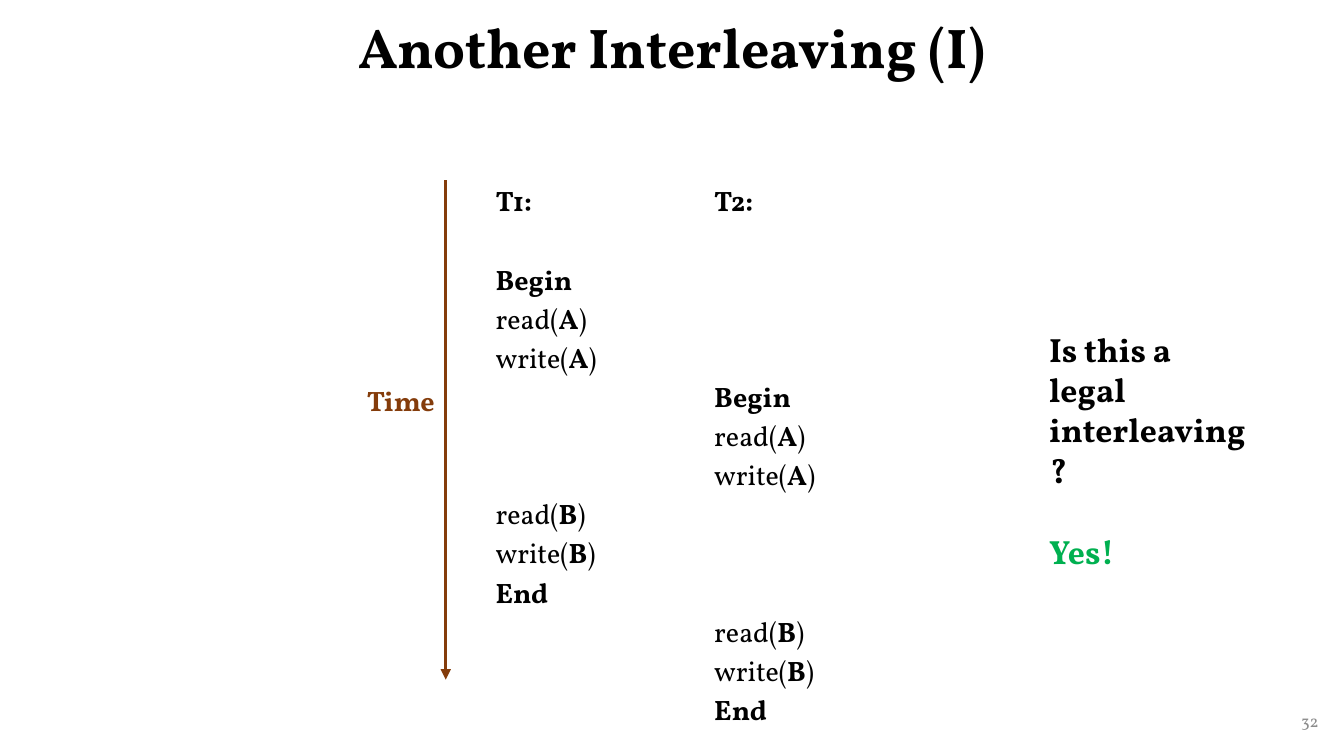
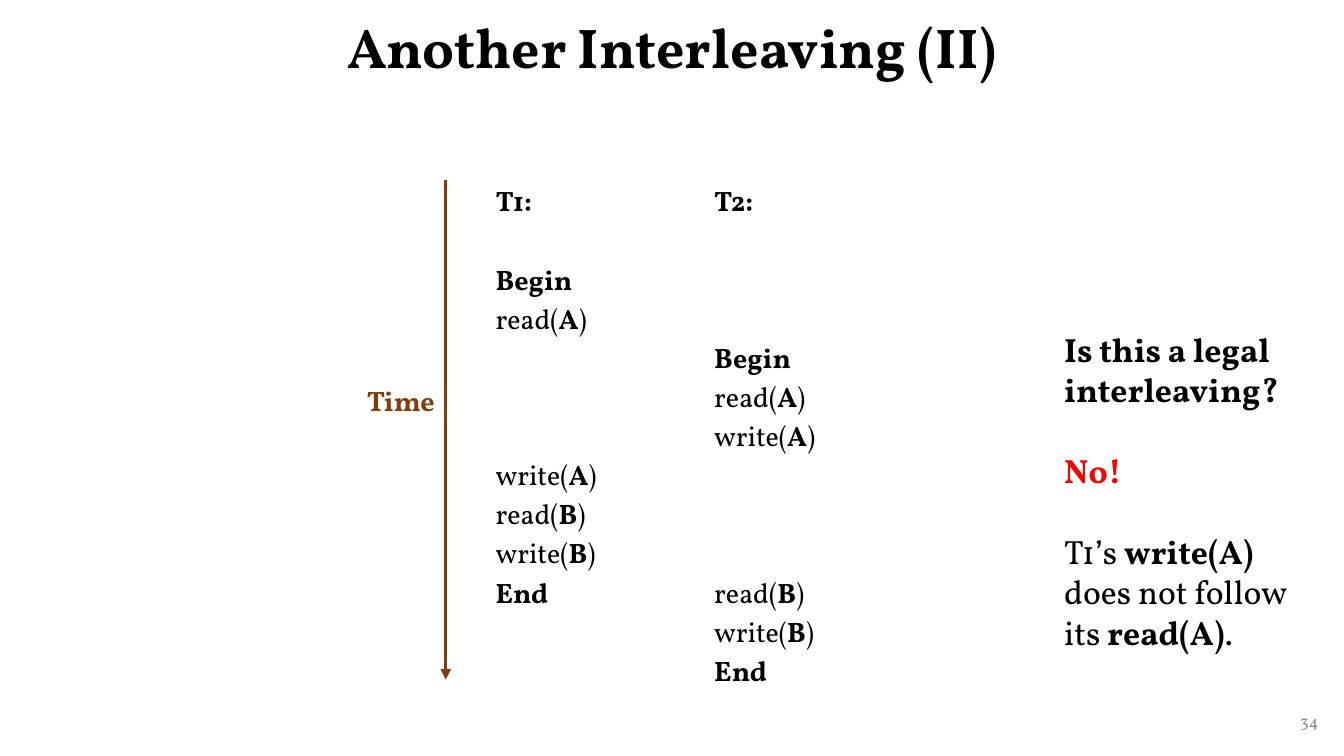
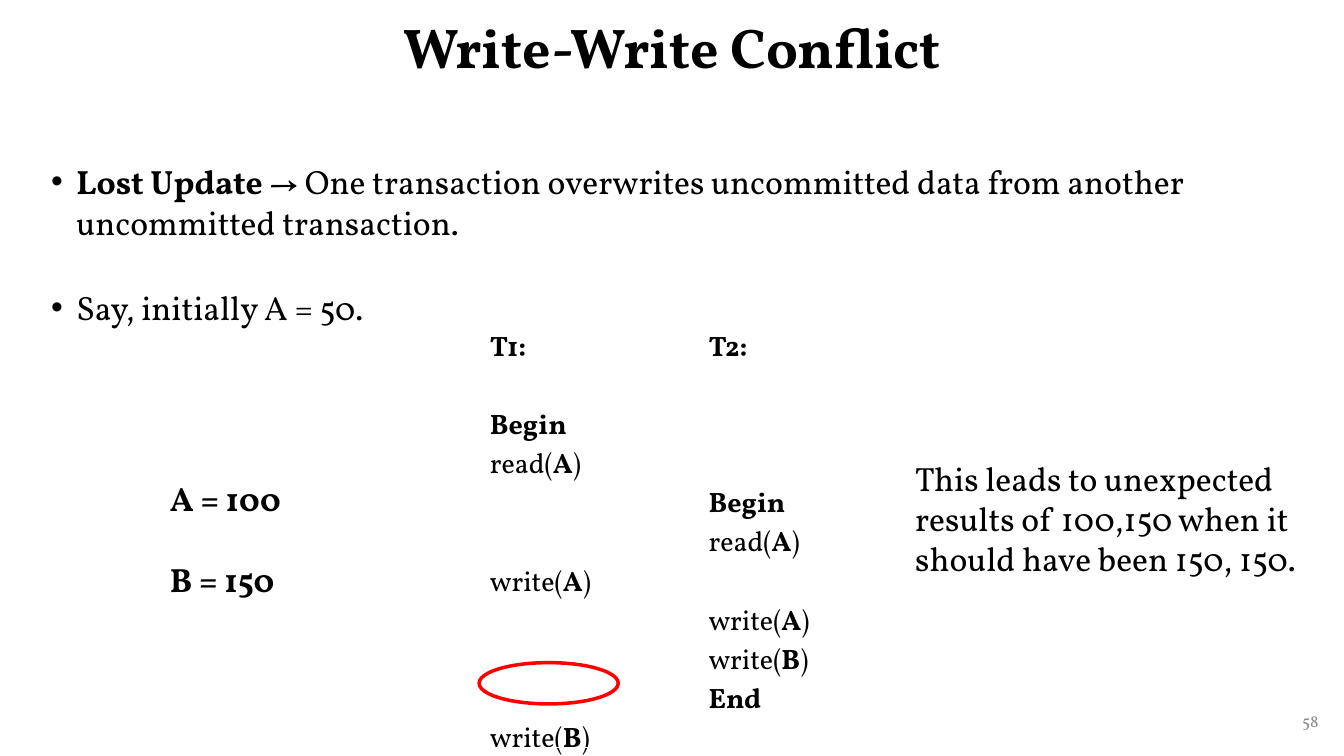
from collections import namedtuple

from lxml.etree import SubElement
from pptx import Presentation
from pptx.dml.color import RGBColor
from pptx.enum.shapes import MSO_CONNECTOR as Connector, MSO_SHAPE as Shape
from pptx.enum.text import MSO_ANCHOR as Anchor, PP_ALIGN as Align
from pptx.oxml.ns import qn
from pptx.util import Pt

Box = namedtuple("Box", "left top width height")

FONT = "Vollkorn"
BLACK = RGBColor(0x00, 0x00, 0x00)
GRAY = RGBColor(0x8C, 0x8C, 0x8C)
BROWN = RGBColor(0x84, 0x3C, 0x0B)
GREEN = RGBColor(0x00, 0xB0, 0x50)
RED = RGBColor(0xFF, 0x00, 0x00)

TITLE_BOX = Box(66, 0.3, 828, 71)
NUMBER_BOX = Box(733, 500.4, 216, 28.8)
TIME_BOX = Box(255, 128.6, 63.4, 356.8)
BODY_SIZE = 24
BODY_GAP = 29
STEP_SIZE = 20
STEP_PITCH = 27.95
COLUMN_WIDTHS = (156.2, 147.6)
QUESTION = "*Is this a legal interleaving?*"


def write_runs(paragraph, marked_text, size, color=BLACK):
    for index, part in enumerate(marked_text.split("*")):
        if part:
            run = paragraph.add_run()
            run.text = part
            run.font.name = FONT
            run.font.size = Pt(size)
            run.font.bold = index % 2 == 1
            run.font.color.rgb = color


def add_paragraph(text_frame, index, space_before):
    paragraph = text_frame.add_paragraph() if index else text_frame.paragraphs[0]
    paragraph.space_before = Pt(space_before if index else 0)
    paragraph.space_after = Pt(0)
    return paragraph


def add_text(slide, box, lines, size=BODY_SIZE, gap=BODY_GAP, anchor=Anchor.TOP, wrap=True):
    shape = slide.shapes.add_textbox(*map(Pt, box))
    text_frame = shape.text_frame
    text_frame.word_wrap = wrap
    text_frame.vertical_anchor = anchor
    for index, (text, color) in enumerate(lines):
        write_runs(add_paragraph(text_frame, index, gap), text, size, color)
    return text_frame.paragraphs


def add_frame(presentation, title, number):
    slide = presentation.slides.add_slide(presentation.slide_layouts[6])
    heading = add_text(slide, TITLE_BOX, [(f"*{title}*", BLACK)], 40, anchor=Anchor.MIDDLE)[0]
    heading.alignment = Align.CENTER
    heading.line_spacing = 0.9
    footer = add_text(slide, NUMBER_BOX, [(number, GRAY)], 12, anchor=Anchor.MIDDLE)[0]
    footer.alignment = Align.RIGHT
    return slide


def add_schedule(slide, left, top, height, schedules):
    frame = slide.shapes.add_table(
        1, len(schedules), Pt(left), Pt(top), Pt(sum(COLUMN_WIDTHS)), Pt(height))
    table = frame.table
    table.first_row = False
    table.horz_banding = False
    for column, (width, steps) in enumerate(zip(COLUMN_WIDTHS, schedules)):
        table.columns[column].width = Pt(width)
        cell = table.cell(0, column)
        cell.fill.background()
        previous = 0
        for index, (row, text) in enumerate(steps):
            gap = max(row - previous - 1, 0) * STEP_PITCH
            write_runs(add_paragraph(cell.text_frame, index, gap), text, STEP_SIZE)
            previous = row


def add_time_arrow(slide, box):
    right = box.left + box.width
    arrow = slide.shapes.add_connector(
        Connector.STRAIGHT, Pt(right), Pt(box.top), Pt(right), Pt(box.top + box.height))
    arrow.line.color.rgb = BROWN
    arrow.line.width = Pt(2.5)
    SubElement(arrow.line._get_or_add_ln(), qn("a:tailEnd"), type="triangle")
    SubElement(arrow._element.spPr, qn("a:effectLst"))
    label = Box(box.left, box.top + 142, box.width, 31.7)
    add_text(slide, label, [("*Time*", BROWN)], STEP_SIZE, wrap=False)


def add_bullets(slide, box, texts):
    for paragraph in add_text(slide, box, [(text, BLACK) for text in texts], gap=32):
        properties = paragraph._p.get_or_add_pPr()
        properties.set("marL", str(Pt(18)))
        properties.set("indent", str(-Pt(18)))
        SubElement(properties, qn("a:buFont"), typeface="Arial")
        SubElement(properties, qn("a:buChar"), char="•")


def add_highlight(slide, box):
    ellipse = slide.shapes.add_shape(Shape.OVAL, *map(Pt, box))
    ellipse.shadow.inherit = False
    ellipse.fill.background()
    ellipse.line.color.rgb = RED
    ellipse.line.width = Pt(2.5)


def build_interleaving(presentation, title, number, schedules, verdict_box, verdict):
    slide = add_frame(presentation, title, number)
    add_schedule(slide, 346.8, 128.6, 333.4, schedules)
    add_text(slide, verdict_box, [(QUESTION, BLACK), *verdict])
    add_time_arrow(slide, TIME_BOX)


def build_conflict(presentation):
    slide = add_frame(presentation, "Write-Write Conflict", "58")
    add_bullets(slide, Box(29.5, 111.6, 930, 129.6), [
        "*Lost Update *→ One transaction overwrites uncommitted data from another"
        " uncommitted transaction.",
        "Say, initially A = 50.",
    ])
    add_schedule(slide, 342.7, 231.8, 302.4, [
        [(0, "*T1:*"), (2, "*Begin*"), (3, "read(*A*)"), (6, "write(*A*)"),
         (10, "write(*B*)")],
        [(0, "*T2:*"), (4, "*Begin*"), (5, "read(*A*)"), (7, "write(*A*)"),
         (8, "write(*B*)"), (9, "*End*")],
    ])
    add_highlight(slide, Box(342.2, 473.3, 99.4, 29.5))
    add_text(slide, Box(114.3, 337.7, 193.7, 94.3), [("*A = 100*", BLACK), ("*B = 150*", BLACK)])
    add_text(slide, Box(646.6, 323.4, 303.8, 94.3), [
        ("This leads to unexpected results of 100,150 when it should have been 150, 150.", BLACK),
    ])


def main():
    presentation = Presentation()
    presentation.slide_width = Pt(960)
    presentation.slide_height = Pt(540)
    build_interleaving(presentation, "Another Interleaving (I)", "32", [
        [(0, "*T1:*"), (2, "*Begin*"), (3, "read(*A*)"), (4, "write(*A*)"),
         (8, "read(*B*)"), (9, "write(*B*)"), (10, "*End*")],
        [(0, "*T2:*"), (5, "*Begin*"), (6, "read(*A*)"), (7, "write(*A*)"),
         (11, "read(*B*)"), (12, "write(*B*)"), (13, "*End*")],
    ], Box(742.3, 231.2, 160.6, 123.8), [("*Yes!*", GREEN)])
    build_interleaving(presentation, "Another Interleaving (II)", "34", [
        [(0, "*T1:*"), (2, "*Begin*"), (3, "read(*A*)"), (7, "write(*A*)"),
         (8, "read(*B*)"), (9, "write(*B*)"), (10, "*End*")],
        [(0, "*T2:*"), (4, "*Begin*"), (5, "read(*A*)"), (6, "write(*A*)"),
         (10, "read(*B*)"), (11, "write(*B*)"), (12, "*End*")],
    ], Box(753.1, 231.2, 189.4, 239.8), [
        ("*No!*", RED),
        ("T1’s *write(A)* does not follow its *read(A)*.", BLACK),
    ])
    build_conflict(presentation)
    presentation.save("out.pptx")


if __name__ == "__main__":
    main()
